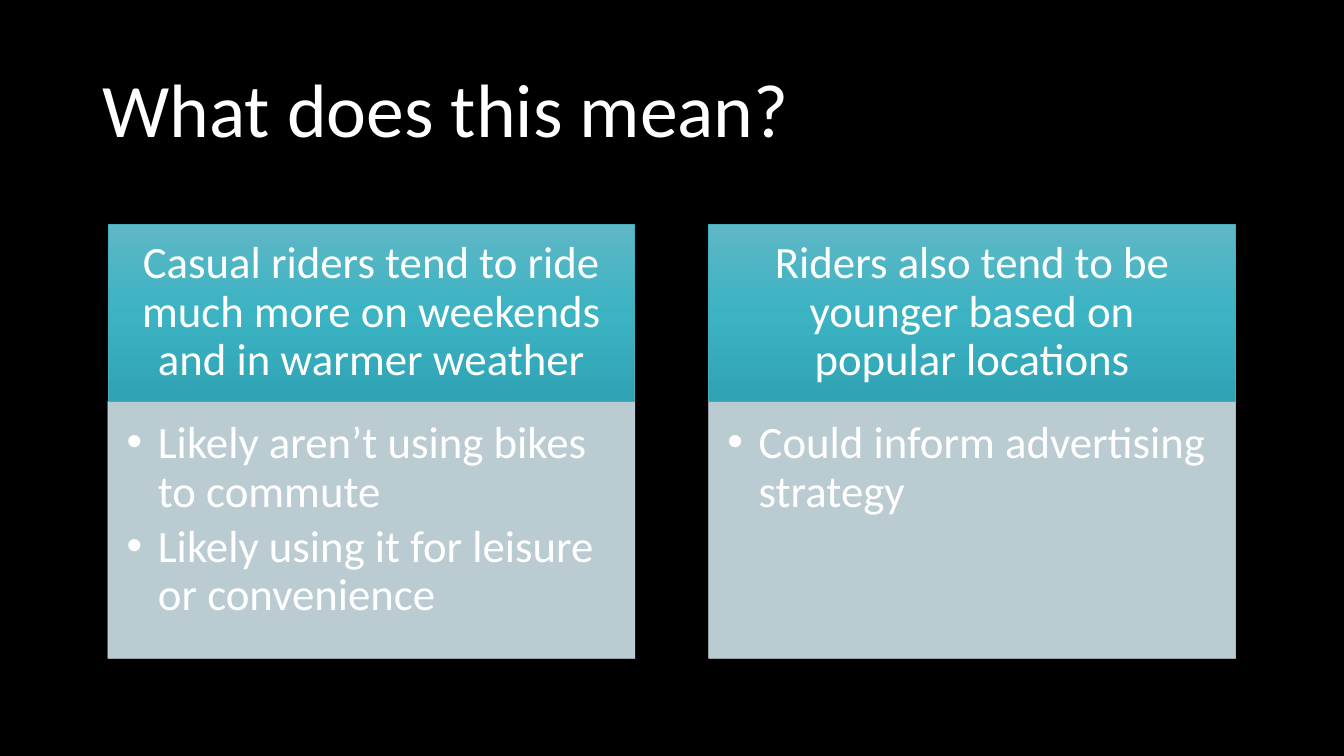
from copy import deepcopy
from dataclasses import dataclass

from pptx import Presentation
from pptx.dml.color import RGBColor
from pptx.enum.shapes import MSO_SHAPE
from pptx.enum.text import MSO_ANCHOR, MSO_AUTO_SIZE, PP_ALIGN
from pptx.oxml.ns import qn
from pptx.util import Cm, Pt
from lxml import etree

RECTANGLE = MSO_SHAPE.RECTANGLE
TOP, MIDDLE = MSO_ANCHOR.TOP, MSO_ANCHOR.MIDDLE
LEFT, CENTER = PP_ALIGN.LEFT, PP_ALIGN.CENTER
NO_AUTOFIT = MSO_AUTO_SIZE.NONE

TITLE = "What does this mean?"
FINDINGS = [
    ("Casual riders tend to ride much more on weekends and in warmer weather",
     ["Likely aren’t using bikes to commute",
      "Likely using it for leisure or convenience"]),
    ("Riders also tend to be younger based on popular locations",
     ["Could inform advertising strategy"]),
]


@dataclass(frozen=True)
class Theme:
    font: str = "Calibri"
    title_size: int = 54
    text_size: int = 32
    background: str = "000000"
    text: str = "FFFFFF"
    heading_line: str = "41AEBD"
    heading_gradient: tuple = ((0, "5FB7C5"), (0.5, "3BB3C3"), (1, "2FA3B3"))
    panel: str = "CFE3E8"
    panel_opacity: int = 90
    line_width: float = 0.5
    line_spacing: float = 0.9


THEME = Theme()

SLIDE_SIZE = (33.87, 19.05)
TITLE_BOX = (2.33, 1.01, 29.21, 3.68)
COLUMN_LEFT, COLUMN_WIDTH, COLUMN_GAP = 2.72, 13.28, 1.86
HEADING_TOP, HEADING_HEIGHT, PANEL_HEIGHT = 5.66, 4.45, 6.48
TITLE_INSETS = (0.25, 0.13, 0.25, 0.13)
HEADING_INSETS = (0.63, 0.36, 0.63, 0.36)
PANEL_INSETS = (0.47, 0.47, 0.63, 0.71)
BULLET_INDENT = 0.79


def rgb(value):
    return RGBColor.from_string(value)


def place(shape, box):
    shape.left, shape.top, shape.width, shape.height = map(Cm, box)


def write(shape, lines, size, alignment, anchor, insets, space_after=0):
    frame = shape.text_frame
    frame.text = "\n".join(lines)
    frame.word_wrap = True
    frame.auto_size = NO_AUTOFIT
    frame.vertical_anchor = anchor
    (frame.margin_left, frame.margin_top,
     frame.margin_right, frame.margin_bottom) = map(Cm, insets)
    for paragraph in frame.paragraphs:
        paragraph.alignment = alignment
        paragraph.line_spacing = THEME.line_spacing
        paragraph.space_before = Pt(0)
        paragraph.space_after = Pt(space_after)
        for run in paragraph.runs:
            run.font.name = THEME.font
            run.font.size = Pt(size)
            run.font.color.rgb = rgb(THEME.text)


def outline(shape, color):
    shape.line.color.rgb = rgb(color)
    shape.line.width = Pt(THEME.line_width)


def fill_gradient(shape, stops):
    shape.fill.gradient()
    shape.fill.gradient_angle = 270
    stop_list = shape._element.spPr.find(".//" + qn("a:gsLst"))
    stop_list.insert(1, deepcopy(stop_list[0]))
    for stop, (position, color) in zip(shape.fill.gradient_stops, stops):
        stop.position = position
        stop.color.rgb = rgb(color)


def set_opacity(shape, percent):
    for color in shape._element.spPr.iter(qn("a:srgbClr")):
        etree.SubElement(color, qn("a:alpha"), val=str(percent * 1000))


def add_heading(slide, text, box):
    heading = slide.shapes.add_shape(RECTANGLE, *map(Cm, box))
    heading.shadow.inherit = False
    fill_gradient(heading, THEME.heading_gradient)
    outline(heading, THEME.heading_line)
    write(heading, [text], THEME.text_size, CENTER, MIDDLE, HEADING_INSETS)


def format_panel(panel, bullets, box):
    place(panel, box)
    panel.fill.solid()
    panel.fill.fore_color.rgb = rgb(THEME.panel)
    outline(panel, THEME.panel)
    set_opacity(panel, THEME.panel_opacity)
    write(panel, bullets, THEME.text_size, LEFT, TOP, PANEL_INSETS,
          space_after=0.15 * THEME.text_size)
    for paragraph in panel.text_frame.paragraphs:
        properties = paragraph._p.get_or_add_pPr()
        properties.set("marL", str(Cm(BULLET_INDENT)))
        properties.set("indent", str(-Cm(BULLET_INDENT)))


def main():
    presentation = Presentation()
    presentation.slide_width, presentation.slide_height = map(Cm, SLIDE_SIZE)
    two_content = presentation.slide_layouts[3]
    slide = presentation.slides.add_slide(two_content)
    slide.background.fill.solid()
    slide.background.fill.fore_color.rgb = rgb(THEME.background)

    title, *panels = slide.placeholders
    place(title, TITLE_BOX)
    write(title, [TITLE], THEME.title_size, LEFT, MIDDLE, TITLE_INSETS)

    for column, (panel, (heading, bullets)) in enumerate(zip(panels, FINDINGS)):
        left = COLUMN_LEFT + column * (COLUMN_WIDTH + COLUMN_GAP)
        add_heading(slide, heading,
                    (left, HEADING_TOP, COLUMN_WIDTH, HEADING_HEIGHT))
        format_panel(panel, bullets,
                     (left, HEADING_TOP + HEADING_HEIGHT,
                      COLUMN_WIDTH, PANEL_HEIGHT))

    presentation.save("out.pptx")


if __name__ == "__main__":
    main()
